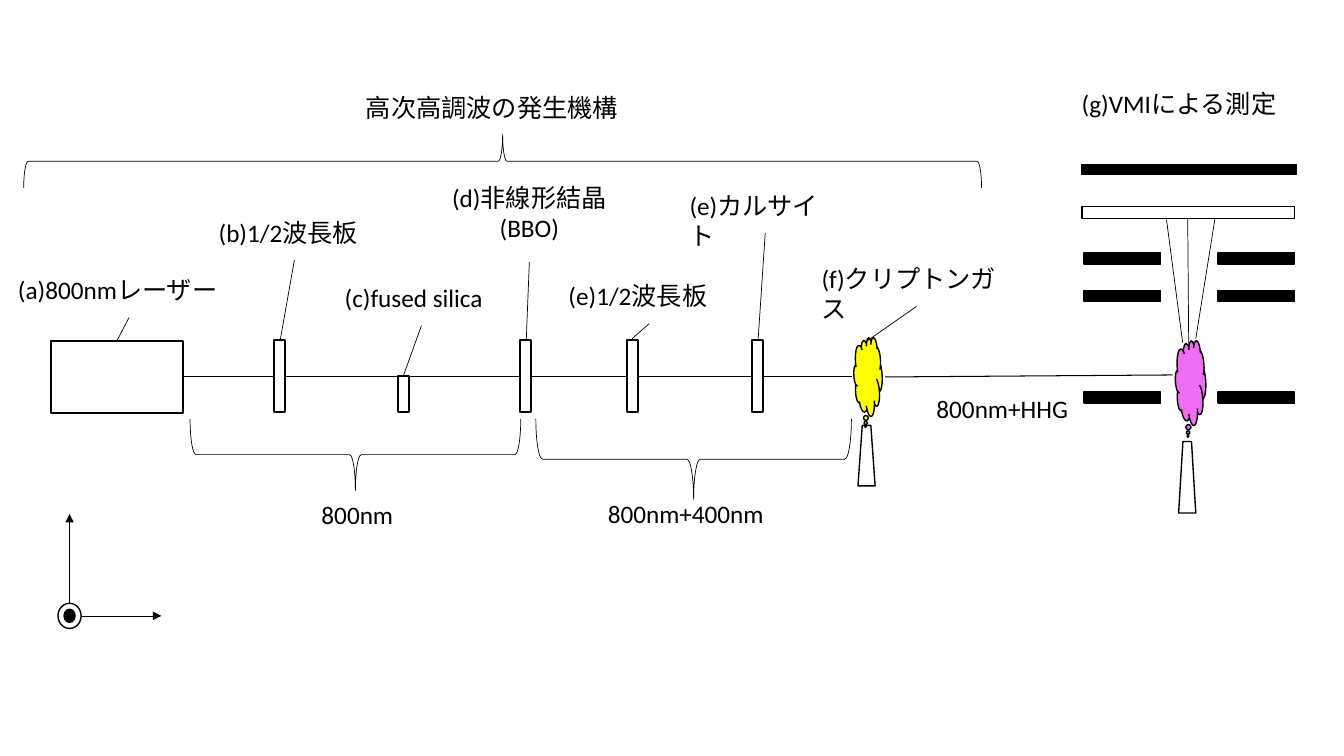
import pptx
import pptx.dml.color
import pptx.enum.shapes
import pptx.enum.text
import pptx.oxml
import pptx.oxml.ns
import pptx.util
from pptx.util import Inches

BLACK = pptx.dml.color.RGBColor(0x00, 0x00, 0x00)
WHITE = pptx.dml.color.RGBColor(0xFF, 0xFF, 0xFF)
YELLOW = pptx.dml.color.RGBColor(0xFF, 0xFF, 0x00)
PINK = pptx.dml.color.RGBColor(0xEF, 0x6D, 0xF2)
SHAPE = pptx.enum.shapes.MSO_SHAPE
ALIGN = pptx.enum.text.PP_ALIGN

# Labels: text, left, top, width
WRAPPED_LABELS = [
    ("(a)800nmレーザー", 0.08, 2.67, 2.39),
    ("(b)1/2波長板", 2.07, 2.11, 1.71),
    ("(c)fused silica", 3.32, 2.75, 1.72),
    ("(e)カルサイト", 6.74, 1.84, 1.71),
    ("(e)1/2波長板", 5.54, 2.73, 1.8),
    ("(f)クリプトンガス", 8.05, 2.56, 2.08),
    ("高次高調波の発生機構", 3.53, 0.87, 2.91),
    ("(g)VMIによる測定", 10.63, 0.83, 2.33),
]
BEAM_LABELS = [
    ("800nm", 3.09, 4.9, 0.99),
    ("800nm+400nm", 5.93, 4.89, 1.9),
    ("800nm+HHG", 9.19, 3.85, 1.63),
]

# Optics on the beam: left, top, width, height
LASER = (0.51, 3.38, 1.31, 0.72)
PLATES = [(left, 3.37, 0.11, 0.72) for left in (2.72, 5.16, 6.22, 7.46)]
FUSED_SILICA = (3.95, 3.73, 0.11, 0.36)

BEAM_Y = 3.73
BEAM_SPANS = [(1.82, 2.72), (2.84, 5.16), (5.28, 6.22), (6.33, 7.46), (7.57, 8.45)]
HARMONIC_BEAM = (8.78, 3.74, 11.63, 3.72)

# From each label to its part: x1, y1, x2, y2
LEADERS = [
    (1.28, 3.15, 1.16, 3.38),
    (2.92, 2.58, 2.78, 3.37),
    (4.18, 3.23, 4, 3.73),
    (5.25, 2.6, 5.22, 3.37),
    (6.44, 3.21, 6.27, 3.36),
    (7.59, 2.31, 7.52, 3.36),
    (9.09, 3.04, 8.59, 3.39),
]
ION_PATHS = [
    (11.73, 3.4, 11.57, 2.18),
    (11.79, 3.43, 11.78, 2.17),
    (11.86, 3.36, 12.05, 2.17),
]

# Braces: unrotated frame, rotation
BRACES = [
    ((4.72, -3.15, 0.53, 9.5), 90),
    ((3.17, 2.87, 0.71, 3.28), 270),
    ((6.48, 2.99, 0.8, 3.13), 270),
]

# Gas jets: nozzle frame, cloud frame, cloud colour
GAS_JETS = [
    ((8.51, 4.22, 0.17, 0.6), (8.47, 3.35, 0.28, 0.78), YELLOW),
    ((11.69, 4.38, 0.17, 0.71), (11.66, 3.38, 0.3, 0.84), PINK),
]

ELECTRODE_LEFTS = (10.75, 12.08)
ELECTRODE_TOPS = (2.51, 2.88, 3.89)
DETECTOR_PLATE = (10.73, 2.05, 2.11, 0.12)
DETECTOR_SCREEN = (10.73, 1.63, 2.13, 0.1)

AXIS_ORIGIN = (0.69, 6.11)
AXIS_CIRCLES = [(0.23, 0.25, WHITE), (0.11, 0.13, BLACK)]
AXES = [(0.81, 6.11, 1.6, 6.11), (0.69, 5.99, 0.69, 5.1)]

presentation = pptx.Presentation()
presentation.slide_width = Inches(13.33)
presentation.slide_height = Inches(7.5)
slide = presentation.slides.add_slide(presentation.slide_layouts[6])


def add_part(kind, frame, fill=None, weight=1, rotation=0):
    shape = slide.shapes.add_shape(kind, *map(Inches, frame))
    shape.shadow.inherit = False
    shape.rotation = rotation
    shape.line.color.rgb = BLACK
    shape.line.width = pptx.util.Pt(weight)
    if fill is None:
        shape.fill.background()
    else:
        shape.fill.solid()
        shape.fill.fore_color.rgb = fill


def add_line(ends, weight=0.5, arrow=False):
    connector = slide.shapes.add_connector(
        pptx.enum.shapes.MSO_CONNECTOR.STRAIGHT, *map(Inches, ends))
    connector.line.color.rgb = BLACK
    connector.line.width = pptx.util.Pt(weight)
    if arrow:
        head = pptx.oxml.parse_xml(
            f'<a:tailEnd {pptx.oxml.ns.nsdecls("a")} type="triangle"/>')
        connector.line._get_or_add_ln().append(head)
    connector._element.spPr.append(
        pptx.oxml.parse_xml(f'<a:effectLst {pptx.oxml.ns.nsdecls("a")}/>'))


def add_text(text, left, top, width, height=0.48, wrap=True, align=ALIGN.LEFT):
    box = slide.shapes.add_textbox(*map(Inches, (left, top, width, height)))
    frame = box.text_frame
    frame.word_wrap = wrap
    frame.text = text
    for paragraph in frame.paragraphs:
        paragraph.alignment = align
        paragraph.font.name = "Calibri"
        paragraph.font.size = pptx.util.Pt(18)
        paragraph.font.color.rgb = BLACK


for optic in [LASER, FUSED_SILICA, *PLATES]:
    add_part(SHAPE.RECTANGLE, optic, weight=1.5)
for start, end in BEAM_SPANS:
    add_line((start, BEAM_Y, end, BEAM_Y))
add_line(HARMONIC_BEAM, weight=0.75)

for brace, rotation in BRACES:
    add_part(SHAPE.LEFT_BRACE, brace, weight=0.5, rotation=rotation)

for nozzle, cloud, color in GAS_JETS:
    add_part(SHAPE.TRAPEZOID, nozzle)
    add_part(SHAPE.CLOUD_CALLOUT, cloud, fill=color, rotation=356.2)

for top in ELECTRODE_TOPS:
    for left in ELECTRODE_LEFTS:
        add_part(SHAPE.RECTANGLE, (left, top, 0.76, 0.11), fill=BLACK)
for ends in LEADERS + ION_PATHS:
    add_line(ends)
add_part(SHAPE.RECTANGLE, DETECTOR_PLATE, fill=WHITE)
add_part(SHAPE.RECTANGLE, DETECTOR_SCREEN, fill=BLACK)

for axis in AXES:
    add_line(axis, arrow=True)
for width, height, color in AXIS_CIRCLES:
    left, top = AXIS_ORIGIN[0] - width / 2, AXIS_ORIGIN[1] - height / 2
    add_part(SHAPE.OVAL, (left, top, width, height), fill=color)

for label in WRAPPED_LABELS:
    add_text(*label)
for label in BEAM_LABELS:
    add_text(*label, wrap=False)
add_text("(d)非線形結晶\n(BBO)", 4.31, 1.76, 1.88, height=0.84,
         wrap=False, align=ALIGN.CENTER)

presentation.save("out.pptx")
